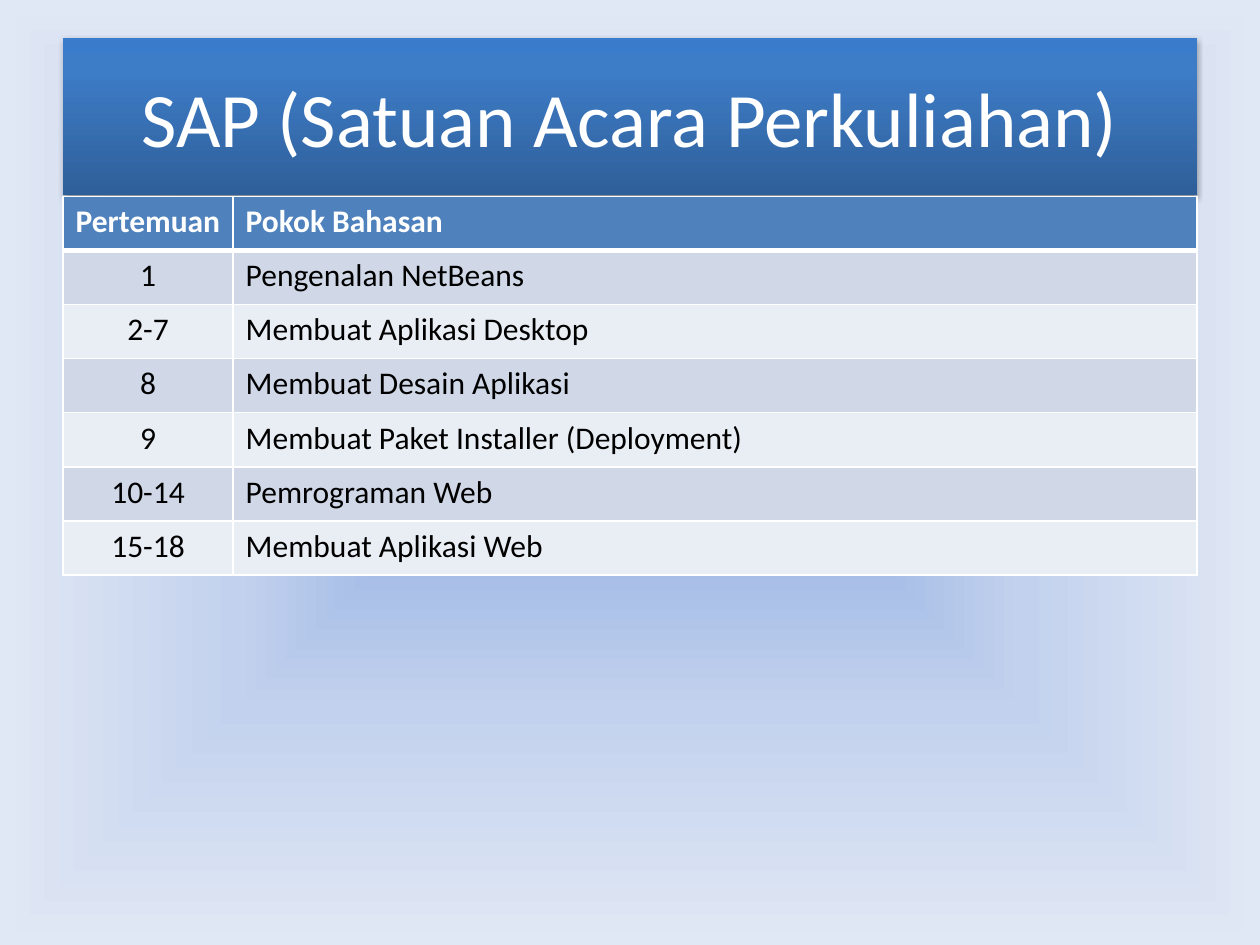
import pptx
import pptx.dml.color
import pptx.enum.text
import pptx.oxml
import pptx.oxml.ns
import pptx.util

Cm, Pt = pptx.util.Cm, pptx.util.Pt
RGBColor = pptx.dml.color.RGBColor
PP_ALIGN = pptx.enum.text.PP_ALIGN
MSO_ANCHOR = pptx.enum.text.MSO_ANCHOR
qn = pptx.oxml.ns.qn
NS = pptx.oxml.ns.nsdecls("a")

WHITE = RGBColor(0xFF, 0xFF, 0xFF)
BLACK = RGBColor(0x00, 0x00, 0x00)
HEADER = RGBColor(0x4F, 0x81, 0xBD)
BANDS = [RGBColor(0xE9, 0xED, 0xF4), RGBColor(0xD0, 0xD8, 0xE8)]
BACKDROP = [(8, RGBColor(0x9A, 0xB5, 0xE4)), (50, RGBColor(0xC2, 0xD1, 0xED)),
            (100, RGBColor(0xE1, 0xE8, 0xF5))]
BANNER = [(0, RGBColor(0x2F, 0x5F, 0x99)), (80, RGBColor(0x3D, 0x7C, 0xC7)),
          (100, RGBColor(0x3A, 0x7C, 0xCB))]
FROM_CENTRE = ('<a:path path="shape"><a:fillToRect l="50000" t="50000" '
               'r="50000" b="50000"/></a:path>')
UPWARDS = '<a:lin ang="16200000" scaled="0"/>'

ROWS = [
    ("Pertemuan", "Pokok Bahasan"),
    ("1", "Pengenalan NetBeans"),
    ("2-7", "Membuat Aplikasi Desktop"),
    ("8", "Membuat Desain Aplikasi"),
    ("9", "Membuat Paket Installer (Deployment)"),
    ("10-14", "Pemrograman Web"),
    ("15-18", "Membuat Aplikasi Web"),
]


class Deck:
    font = "Calibri"

    def __init__(self, prs):
        self.s = prs.slides.add_slide(prs.slide_layouts[5])

    def gradient(self, fill, owner, stops, direction):
        """Give owner a gradient whose direction is a path or lin element."""
        fill.solid()
        solid = next(owner.iter(qn("a:solidFill")))
        gs = "".join(f'<a:gs pos="{pos * 1000}"><a:srgbClr val="{color}"/></a:gs>'
                     for pos, color in stops)
        grad = pptx.oxml.parse_xml(
            f'<a:gradFill {NS} rotWithShape="1"><a:gsLst>{gs}</a:gsLst>{direction}</a:gradFill>')
        solid.getparent().replace(solid, grad)

    def background(self, stops):
        self.gradient(self.s.background.fill, self.s.element, stops, FROM_CENTRE)

    def add_text(self, tf, text, align, color, **style):
        p = tf.paragraphs[0]
        p.alignment = align
        r = p.add_run()
        r.text = text
        r.font.color.rgb = color
        for name, value in {"name": self.font, **style}.items():
            setattr(r.font, name, value)

    def title(self, text, left, top, width, height):
        sp = self.s.shapes.title
        box = {"left": left, "top": top, "width": width, "height": height}
        for name, value in box.items():
            setattr(sp, name, value)
        self.gradient(sp.fill, sp.element, BANNER, UPWARDS)
        sp.element.spPr.append(pptx.oxml.parse_xml(
            f'<a:effectLst {NS}><a:outerShdw blurRad="{Pt(3.1)}" dist="{Pt(1.8)}" '
            f'dir="5400000" rotWithShape="0"><a:srgbClr val="{BLACK}">'
            '<a:alpha val="35000"/></a:srgbClr></a:outerShdw></a:effectLst>'))
        sp.text_frame.vertical_anchor = MSO_ANCHOR.MIDDLE
        self.add_text(sp.text_frame, text, PP_ALIGN.CENTER, WHITE, size=Pt(44))

    def borders(self, cell, **widths):
        tcPr = cell._tc.get_or_add_tcPr()
        for i, (side, width) in enumerate(widths.items()):
            tcPr.insert(i, pptx.oxml.parse_xml(
                f'<a:ln{side} {NS} w="{Pt(width)}"><a:solidFill>'
                f'<a:srgbClr val="{WHITE}"/></a:solidFill></a:ln{side}>'))

    def table(self, rows, left, top, col_widths, row_height):
        table = self.s.shapes.add_table(
            len(rows), len(col_widths), left, top,
            sum(col_widths), row_height * len(rows)).table
        for column, width in zip(table.columns, col_widths):
            column.width = width
        for i, row in enumerate(rows):
            table.rows[i].height = row_height
            head = i == 0
            for j, text in enumerate(row):
                cell = table.cell(i, j)
                cell.fill.solid()
                cell.fill.fore_color.rgb = HEADER if head else BANDS[i % 2]
                self.borders(cell, L=1, R=1, T=3 if i == 1 else 1, B=3 if head else 1)
                centred = j == 0 and not head
                self.add_text(cell.text_frame, text,
                              PP_ALIGN.CENTER if centred else PP_ALIGN.LEFT,
                              WHITE if head else BLACK, size=Pt(18), bold=head)


def main():
    prs = pptx.Presentation()
    prs.slide_width, prs.slide_height = Cm(25.4), Cm(19.05)
    deck = Deck(prs)
    deck.background(BACKDROP)
    deck.title("SAP (Satuan Acara Perkuliahan)", Cm(1.27), Cm(0.76), Cm(22.86), Cm(3.18))
    deck.table(ROWS, Cm(1.27), Cm(3.96), [Cm(3.43), Cm(19.43)], Cm(1.09))
    prs.save("out.pptx")


if __name__ == "__main__":
    main()
